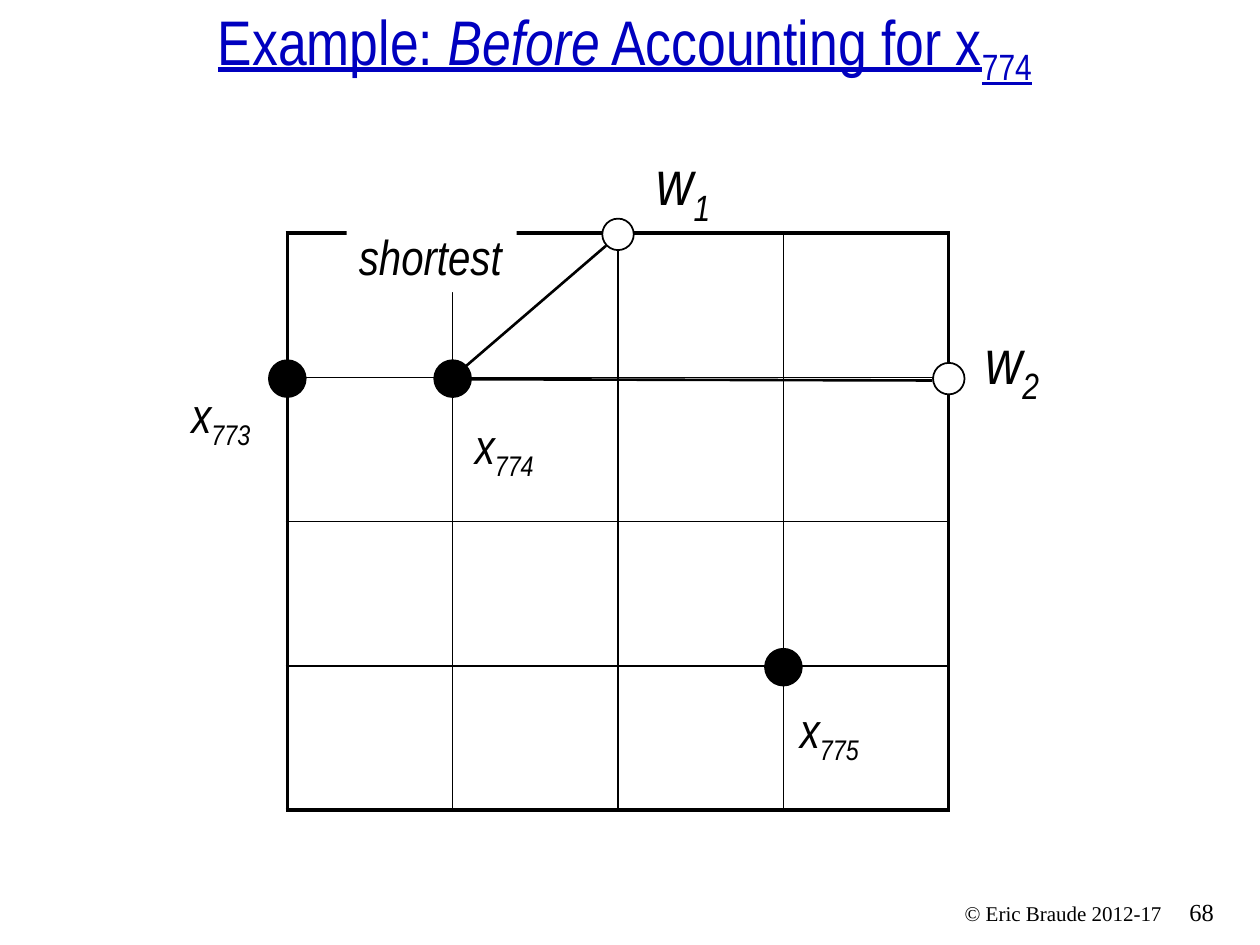
from collections import namedtuple
from dataclasses import dataclass

from lxml.etree import SubElement
from pptx import Presentation
from pptx.dml.color import RGBColor
from pptx.enum.shapes import MSO_CONNECTOR, MSO_SHAPE
from pptx.enum.text import MSO_ANCHOR, MSO_AUTO_SIZE, PP_ALIGN
from pptx.oxml.ns import qn
from pptx.util import Emu, Pt

Box = namedtuple("Box", "left top width height")


@dataclass(frozen=True)
class Theme:
    black: RGBColor = RGBColor(0, 0, 0)
    white: RGBColor = RGBColor(255, 255, 255)
    blue: RGBColor = RGBColor(0, 0, 0xBF)
    sans: str = "Arial Narrow"
    serif: str = "Times New Roman"
    title_size: int = 36
    weight_size: int = 36
    point_size: int = 28
    number_size: int = 14
    copyright_size: int = 12
    thin: float = 1
    frame: float = 2.25
    link: float = 1.5
    dot_edge: float = 4


THEME = Theme()
GRID_CELLS = 4
DOT = 25


def px(value):
    return Emu(round(value * 9144))


def place(box):
    return [px(length) for length in box]


def style(paragraph, font_name, size, color, italic=None):
    font = paragraph.font
    font.name, font.size, font.italic = font_name, Pt(size), italic
    font.color.rgb = color


def add_subscript(paragraph, text):
    run = paragraph.add_run()
    run.text = text
    run.font._element.set("baseline", "-25000")
    return run


def add_title(slide, box):
    title = slide.shapes.title
    title.left, title.top, title.width, title.height = place(box)
    frame = title.text_frame
    frame.auto_size = MSO_AUTO_SIZE.NONE
    frame.vertical_anchor = MSO_ANCHOR.BOTTOM
    heading = frame.paragraphs[0]
    heading.alignment = PP_ALIGN.CENTER
    style(heading, THEME.sans, THEME.title_size, THEME.blue)
    heading.font.underline = True
    for text in ("Example: ", "Before", " Accounting for x"):
        run = heading.add_run()
        run.text = text
        run.font.italic = text == "Before"
    add_subscript(heading, "774")
    for run in heading.runs:
        run.font.underline = True


def add_text(slide, box, text, font_name, size, align=PP_ALIGN.LEFT,
             italic=None, subscript="", wrap=True):
    label = slide.shapes.add_textbox(*place(box))
    label.text_frame.word_wrap = wrap
    paragraph = label.text_frame.paragraphs[0]
    paragraph.alignment = align
    style(paragraph, font_name, size, THEME.black, italic)
    paragraph.add_run().text = text
    if subscript:
        add_subscript(paragraph, subscript)
    return label


def add_border(cell, side, width):
    line = SubElement(cell._tc.get_or_add_tcPr(), qn(f"a:{side}"), w=str(Pt(width)))
    fill = SubElement(line, qn("a:solidFill"))
    SubElement(fill, qn("a:srgbClr"), val=str(THEME.black))


def add_grid(slide, box):
    table = slide.shapes.add_table(GRID_CELLS, GRID_CELLS, *place(box)).table
    table.first_row = table.horz_banding = False
    last = GRID_CELLS - 1
    for row in range(GRID_CELLS):
        for column in range(GRID_CELLS):
            cell = table.cell(row, column)
            outer = {"lnL": column == 0, "lnR": column == last,
                     "lnT": row == 0, "lnB": row == last}
            for side, on_frame in outer.items():
                add_border(cell, side, THEME.frame if on_frame else THEME.thin)
            cell.fill.background()


def add_dot(slide, box, column, row, fill, edge):
    center_x = box.left + column * box.width / GRID_CELLS
    center_y = box.top + row * box.height / GRID_CELLS + 1
    dot = slide.shapes.add_shape(
        MSO_SHAPE.OVAL, *place((center_x - DOT / 2, center_y - DOT / 2, DOT, DOT)))
    dot.shadow.inherit = False
    dot.fill.solid()
    dot.fill.fore_color.rgb = fill
    dot.line.color.rgb = THEME.black
    dot.line.width = Pt(edge)


def add_link(slide, box, start, end):
    ends = [px(value) for x, y in (start, end) for value in (box.left + x, box.top + y)]
    link = slide.shapes.add_connector(MSO_CONNECTOR.STRAIGHT, *ends)
    link.line.color.rgb = THEME.black
    link.line.width = Pt(THEME.link)
    SubElement(link._element.spPr, qn("a:effectLst"))


def add_map(slide, box):
    add_grid(slide, box)
    for column, row in ((0, 1), (1, 1), (3, 3)):
        add_dot(slide, box, column, row, THEME.black, THEME.dot_edge)
    for column, row in ((2, 0), (4, 1)):
        add_dot(slide, box, column, row, THEME.white, THEME.thin)

    labels = (
        ("x", "775", 397, 365, 83, 57, THEME.point_size, True),
        ("x", "773", -86, 115, 92, 57, THEME.point_size, True),
        ("x", "774", 139, 140, 100, 57, THEME.point_size, True),
        ("w", "1", 283, -77, 65, 71, THEME.weight_size, False),
        ("w", "2", 544, 65, 65, 71, THEME.weight_size, False),
    )
    for name, index, x, y, width, height, size, wrap in labels:
        add_text(slide, (box.left + x, box.top + y, width, height), name,
                 THEME.sans, size, italic=True, subscript=index, wrap=wrap)

    add_link(slide, box, (139, 108), (253, 10))
    shortest = add_text(slide, (box.left + 47, box.top - 10, 135, 57), "shortest",
                        THEME.sans, THEME.point_size, italic=True, wrap=False)
    shortest.fill.solid()
    shortest.fill.fore_color.rgb = THEME.white
    add_link(slide, box, (146, 116), (512, 117))


def add_footer(slide, box):
    add_text(slide, (box.left, box.top + 3, 267, 30), "© Eric Braude 2012-17",
             THEME.serif, THEME.copyright_size, PP_ALIGN.RIGHT)
    add_text(slide, (box.left + 269, box.top, 58, box.height), "68",
             THEME.serif, THEME.number_size)


def main():
    presentation = Presentation()
    presentation.slide_width, presentation.slide_height = px(1000), px(750)
    slide = presentation.slides.add_slide(presentation.slide_layouts[5])
    add_footer(slide, Box(665, 707, 327, 33))
    add_title(slide, Box(0, 21, 992, 54))
    add_map(slide, Box(228, 185, 525, 458))
    presentation.save("out.pptx")


if __name__ == "__main__":
    main()
